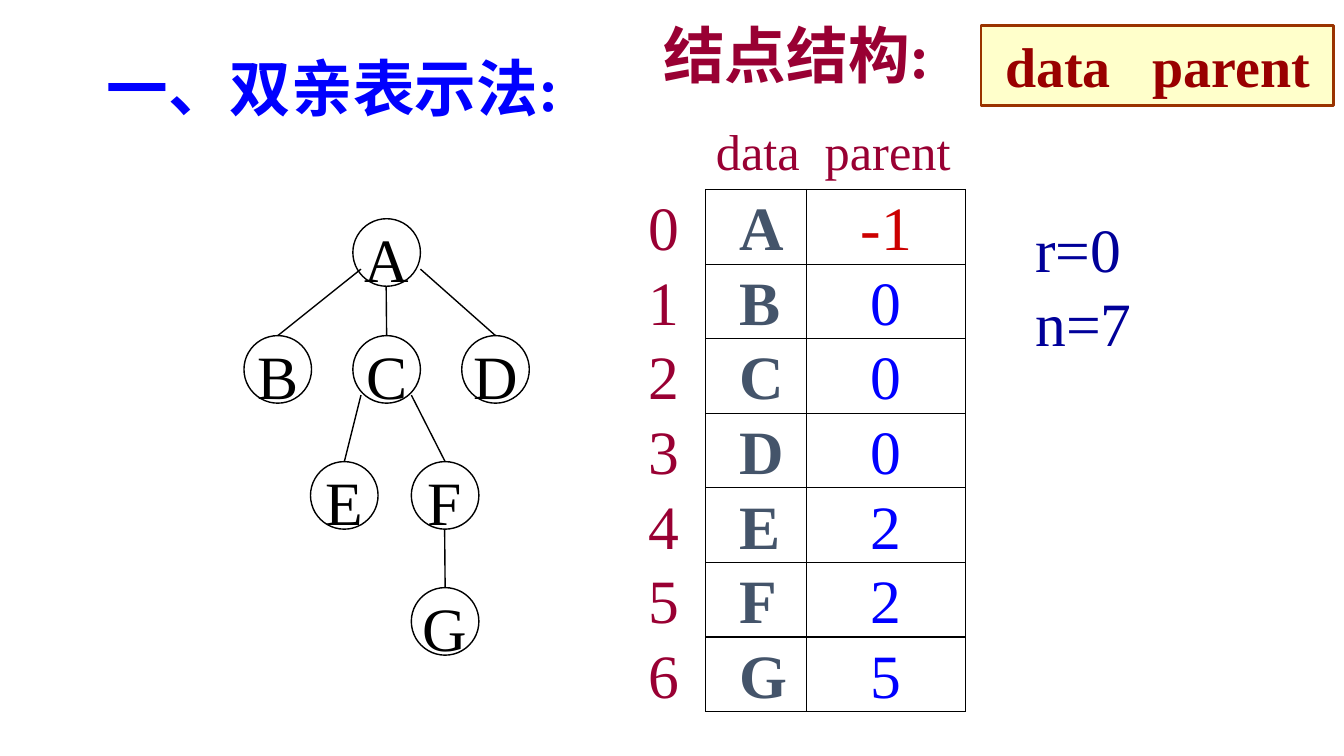
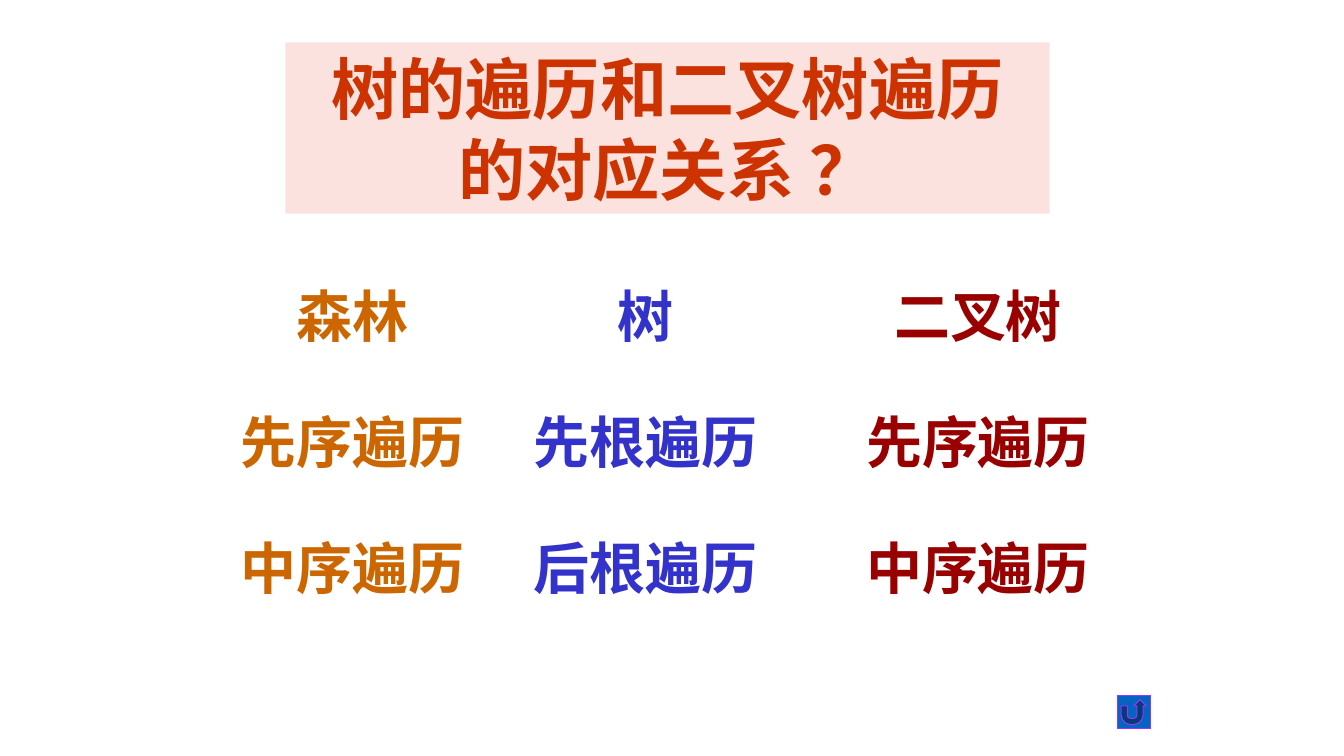
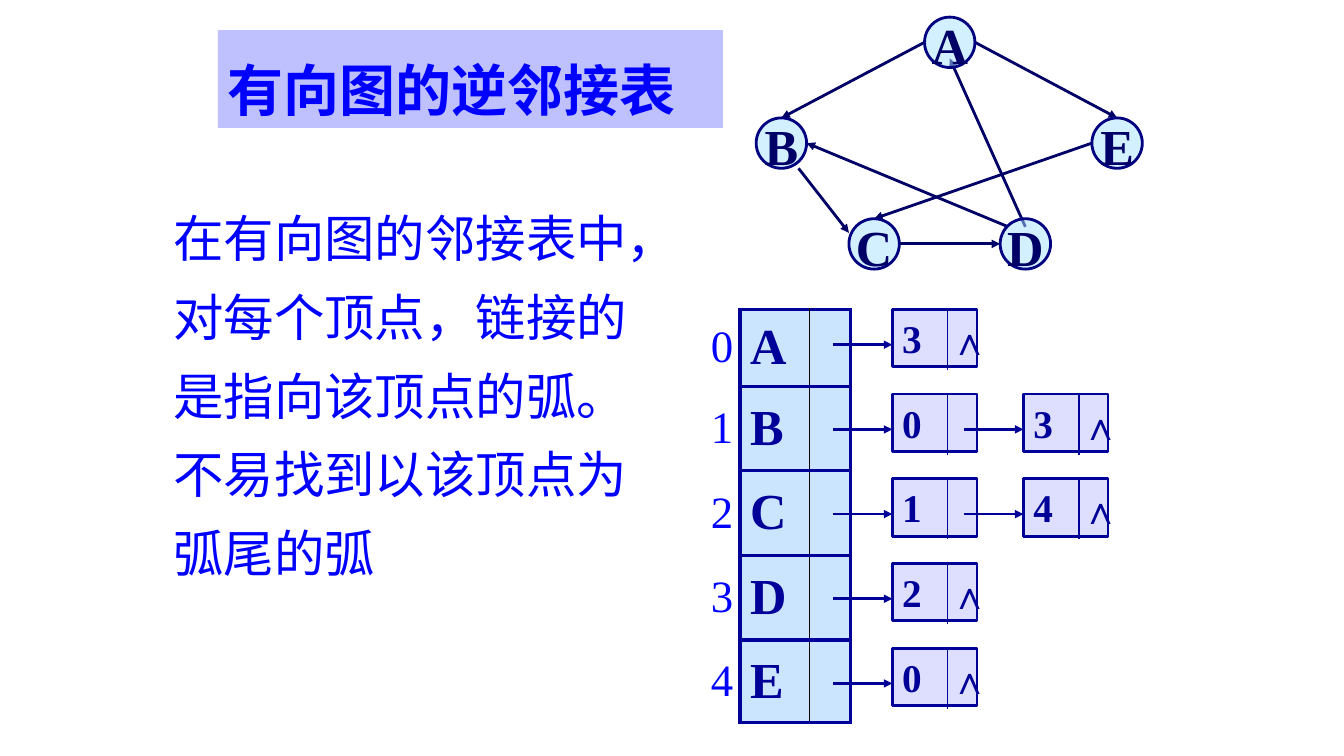
import pptx
import pptx.util
import pptx.dml.color
import pptx.enum.shapes
import pptx.enum.text
import pptx.oxml.ns
from lxml import etree

Inches = pptx.util.Inches
SHAPE = pptx.enum.shapes.MSO_SHAPE
ALIGN = pptx.enum.text.PP_ALIGN
ANCHOR = pptx.enum.text.MSO_ANCHOR
qn = pptx.oxml.ns.qn

FONT = "Times New Roman"
NO_GRID_STYLE = "{2D5ABB26-0587-4C30-8999-92F81FD0307C}"
COLOURS = {
    "black": "000000", "blue": "0000FF", "navy": "000099", "ink": "000066",
    "rim": "000080", "crimson": "990033", "red": "CC0000", "dark red": "990000",
    "slate": "44546A", "brown": "993300", "cream": "FFFF99", "pink": "FBE2DF",
    "rust": "CC3300", "indigo": "3333CC", "orange": "CC6600", "lavender": "BEC1FE",
    "sky": "A7E2FF", "pale blue": "CCE5FF", "button": "0563C1", "violet": "9933FF",
}


def rgb(name):
    return pptx.dml.color.RGBColor.from_string(COLOURS[name])


def write(frame, lines, size, colour, bold=False, align=ALIGN.LEFT, spacing=None):
    for index, line in enumerate(lines):
        para = frame.paragraphs[0] if index == 0 else frame.add_paragraph()
        para.alignment = align
        if spacing:
            para.line_spacing = spacing
        span = para.add_run()
        span.text = line
        span.font.name = FONT
        span.font.size = pptx.util.Pt(size)
        span.font.bold = bold
        span.font.color.rgb = rgb(colour)


def add_text(page, box, lines, size, colour, wrap=False, **style):
    frame = page.shapes.add_textbox(*map(Inches, box)).text_frame
    frame.word_wrap = wrap
    write(frame, lines, size, colour, **style)


def add_figure(page, kind, box, fill=None, line=None, width=1, opacity=100):
    figure = page.shapes.add_shape(kind, *map(Inches, box))
    figure.shadow.inherit = False
    if fill:
        figure.fill.solid()
        figure.fill.fore_color.rgb = rgb(fill)
        if opacity < 100:
            tint = figure.fill._xPr.find(".//" + qn("a:srgbClr"))
            etree.SubElement(tint, qn("a:alpha"), val=str(opacity * 1000))
    else:
        figure.fill.background()
    if line:
        figure.line.color.rgb = rgb(line)
        figure.line.width = pptx.util.Pt(width)
    else:
        figure.line.fill.background()
    frame = figure.text_frame
    frame.word_wrap = True
    frame.vertical_anchor = ANCHOR.TOP
    return figure


def add_line(page, start, end, colour, width, arrow=False):
    line = page.shapes.add_connector(
        pptx.enum.shapes.MSO_CONNECTOR.STRAIGHT, *map(Inches, (*start, *end)))
    line.line.color.rgb = rgb(colour)
    line.line.width = pptx.util.Pt(width)
    etree.SubElement(line._element.spPr, qn("a:effectLst"))
    if arrow:
        etree.SubElement(line.line._get_or_add_ln(), qn("a:tailEnd"), type="triangle")
    return line


def add_border(cell, side, colour, width):
    edge = etree.SubElement(cell._tc.get_or_add_tcPr(), qn("a:ln" + side),
                            w=str(pptx.util.Pt(width)))
    paint = etree.SubElement(edge, qn("a:solidFill"))
    etree.SubElement(paint, qn("a:srgbClr"), val=COLOURS[colour])


def add_array(page, left, top, widths, heights, rows, columns, head=0,
              anchor=ANCHOR.MIDDLE, fill=None, rule=("black", 1)):
    graphic = page.shapes.add_table(
        len(rows), len(widths),
        *map(Inches, (left, top, sum(widths), sum(heights))))
    table = graphic.table
    table.first_row = table.horz_banding = False
    table._tbl.tblPr.find(qn("a:tableStyleId")).text = NO_GRID_STYLE
    for column, width in zip(table.columns, widths):
        column.width = Inches(width)
    for row, height in zip(table.rows, heights):
        row.height = Inches(height)
    for r, values in enumerate(rows):
        for c, value in enumerate(values):
            cell = table.cell(r, c)
            style = dict(columns[c])
            indent = style.pop("indent", 0)
            if r < head:
                style = dict(size=36, colour="crimson")
                indent = (0, 0.1, 0.18)[c]
            elif value == "-1":
                style["colour"] = "red"
            cell.margin_left = Inches(indent)
            cell.margin_right = cell.margin_top = 0
            cell.margin_bottom = Inches(0.08 if r < head else 0)
            cell.vertical_anchor = anchor
            edges = {"L": r >= head and c >= 1, "R": r >= head,
                     "T": r >= head and c >= 1, "B": r + 1 >= head and c >= 1}
            for side, shown in edges.items():
                if shown:
                    divider = (side, c) in (("R", 1), ("L", 2))
                    add_border(cell, side, *(("black", 1) if divider else rule))
            if fill and c >= 1:
                cell.fill.solid()
                cell.fill.fore_color.rgb = rgb(fill)
            else:
                cell.fill.background()
            if value:
                write(cell.text_frame, [value], **style)


def add_heading(page, box, text, size, colour, fill=None, inset=0.1, **style):
    if not fill:
        add_text(page, box, [text], size, colour, bold=True, **style)
        return
    frame = add_figure(page, SHAPE.RECTANGLE, box, fill).text_frame
    frame.margin_left = frame.margin_right = Inches(inset)
    write(frame, [text], size, colour, bold=True, **style)


def add_node(page, box, label, size, colour, bold=False, drop=0.0, **look):
    node = add_figure(page, SHAPE.OVAL, box, **look)
    frame = node.text_frame
    frame.word_wrap = False
    frame.vertical_anchor = ANCHOR.MIDDLE
    frame.margin_left = frame.margin_right = frame.margin_bottom = 0
    frame.margin_top = Inches(drop)
    write(frame, [label], size, colour, bold, ALIGN.CENTER)
    return node


def add_tree(page, left, top):
    size = 0.67
    places = {"A": (1.08, 0), "B": (0, 1.16), "C": (1.08, 1.16), "D": (2.16, 1.16),
              "E": (0.66, 2.41), "F": (1.66, 2.41), "G": (1.66, 3.66)}
    nodes = {label: add_node(page, (left + x, top + y, size, size), label, 44,
                             "black", drop=0.1, line="black")
             for label, (x, y) in places.items()}
    edges = [("A", "B", 0.08, 0.5), ("A", "C", 0.33, size), ("A", "D", size, 0.5),
             ("C", "E", 0.08, 0.59), ("C", "F", 0.58, 0.59), ("F", "G", 0.33, size)]
    for parent, child, dx, dy in edges:
        x, y = places[parent]
        start = (left + x + dx, top + y + dy)
        add_line(page, start, start, "black", 1).end_connect(nodes[child], 0)


def add_field_box(page, box):
    field_box = add_figure(page, SHAPE.RECTANGLE, box, "cream", "brown", 2, 50)
    frame = field_box.text_frame
    frame.vertical_anchor = ANCHOR.MIDDLE
    frame.margin_left = Inches(0.24)
    stops = etree.SubElement(frame.paragraphs[0]._p.get_or_add_pPr(), qn("a:tabLst"))
    etree.SubElement(stops, qn("a:tab"), pos=str(Inches(1.46)), algn="l")
    write(frame, ["data\tparent"], 40, "dark red", bold=True)


def parent_slide(page):
    add_tree(page, 2.42, 2.17)
    add_text(page, (10.17, 2.04, 1.17, 1.58), ["r=0", "n=7"], 44, "navy")
    parents = ["-1", "0", "0", "0", "2", "2", "5"]
    rows = [("", "data", "parent")]
    rows += [(str(i), label, parents[i]) for i, label in enumerate("ABCDEFG")]
    columns = [dict(size=44, colour="crimson", indent=0.1),
               dict(size=44, colour="slate", bold=True, indent=0.34),
               dict(size=44, colour="blue", align=ALIGN.CENTER)]
    add_array(page, 6.33, 1.2, (0.67, 1, 1.58), [0.63] + [0.74] * 7, rows, columns,
              head=1, anchor=ANCHOR.BOTTOM)
    add_heading(page, (0.96, 0.45, 4.68, 0.83), "一、双亲表示法:", 44, "blue")
    add_field_box(page, (9.73, 0.25, 3.5, 0.8))
    add_heading(page, (6.48, 0.12, 2.85, 0.83), "结点结构:", 44, "crimson")


def traversal_slide(page):
    add_heading(page, (2.83, 0.42, 7.58, 1.7), "树的遍历和二叉树遍历的对应关系 ？", 48,
                "rust", fill="pink", inset=0.2, align=ALIGN.CENTER)
    columns = [(3.5, "orange", ("森林", "先序遍历", "中序遍历")),
               (6.4, "indigo", ("树", "先根遍历", "后根遍历")),
               (9.7, "dark red", ("二叉树", "先序遍历", "中序遍历"))]
    for centre, colour, labels in columns:
        for row, label in enumerate(labels):
            add_text(page, (centre - 1.25, 2.74 + 1.25 * row, 2.5, 0.77), [label], 40,
                     colour, wrap=True, bold=True, align=ALIGN.CENTER)
    add_figure(page, SHAPE.ACTION_BUTTON_RETURN, (11.08, 6.9, 0.33, 0.33),
               "button", "violet", 0.75)


def add_graph(page, left, top):
    size = 0.5
    places = {"A": (1.67, 0), "B": (0, 1), "E": (3.33, 1), "C": (0.92, 2), "D": (2.42, 2)}
    arcs = [("A", 0, 0.5, "B", 0.5, 0), ("B", 0.84, 1, "C", 0, 0.28),
            ("C", 1, 0.5, "D", 0, 0.5), ("D", 0.5, 0.16, "A", 0.5, 0.82),
            ("A", 1, 0.5, "E", 0.5, 0), ("D", 0.16, 0.16, "B", 1, 0.5),
            ("E", 0, 0.5, "C", 0.5, 0)]

    def point(label, across, down):
        x, y = places[label]
        return left + x + across * size, top + y + down * size

    for arc in arcs:
        add_line(page, point(*arc[:3]), point(*arc[3:]), "ink", 2, arrow=True)
    for label, (x, y) in places.items():
        add_node(page, (left + x, top + y, size, size), label, 36, "ink", bold=True,
                 drop=0.05, fill="sky", line="rim", width=2, opacity=50)


def add_list_node(page, left, top, label, last):
    cell = add_figure(page, SHAPE.RECTANGLE, (left, top, 0.84, 0.57),
                      "lavender", "navy", 2, 50)
    write(cell.text_frame, [label], 28, "navy", bold=True)
    add_line(page, (left + 0.55, top + 0.01), (left + 0.55, top + 0.6), "navy", 1)
    add_line(page, (left - 0.59, top + 0.35), (left, top + 0.35), "navy", 2, arrow=True)
    if last:
        add_text(page, (left + 0.48, top + 0.02, 0.39, 0.57), ["∧"], 28, "navy", bold=True)


def add_adjacency_list(page, left, top):
    rows = [(str(i), label, "") for i, label in enumerate("ABCDE")]
    columns = [dict(size=32, colour="blue", indent=0.1),
               dict(size=36, colour="navy", bold=True, indent=0.1), {}]
    add_array(page, left, top, (0.39, 0.69, 0.41), [0.76] + [0.84] * 3 + [0.82],
              rows, columns, fill="pale blue", rule=("navy", 2.5))
    for row, chain in enumerate(("3", "03", "14", "2", "0")):
        for place, label in enumerate(chain):
            add_list_node(page, left + 1.9 + 1.3 * place, top + 0.84 * row, label,
                          place == len(chain) - 1)


def adjacency_slide(page):
    add_graph(page, 7.5, 0.17)
    add_heading(page, (2.16, 0.3, 5.01, 0.97), "有向图的逆邻接表", 40, "blue",
                fill="lavender", spacing=1.3)
    add_text(page, (1.62, 1.83, 4.8, 4.04),
             ["在有向图的邻接表中，对每个顶点，链接的是指向该顶点的弧。不易找到以该顶点为弧尾的弧"],
             36, "blue", wrap=True, spacing=1.3)
    add_adjacency_list(page, 6.95, 3.07)


def main():
    deck = pptx.Presentation()
    deck.slide_width = Inches(13.33)
    deck.slide_height = Inches(7.5)
    for build in (parent_slide, traversal_slide, adjacency_slide):
        build(deck.slides.add_slide(deck.slide_layouts[6]))
    deck.save("out.pptx")


if __name__ == "__main__":
    main()
